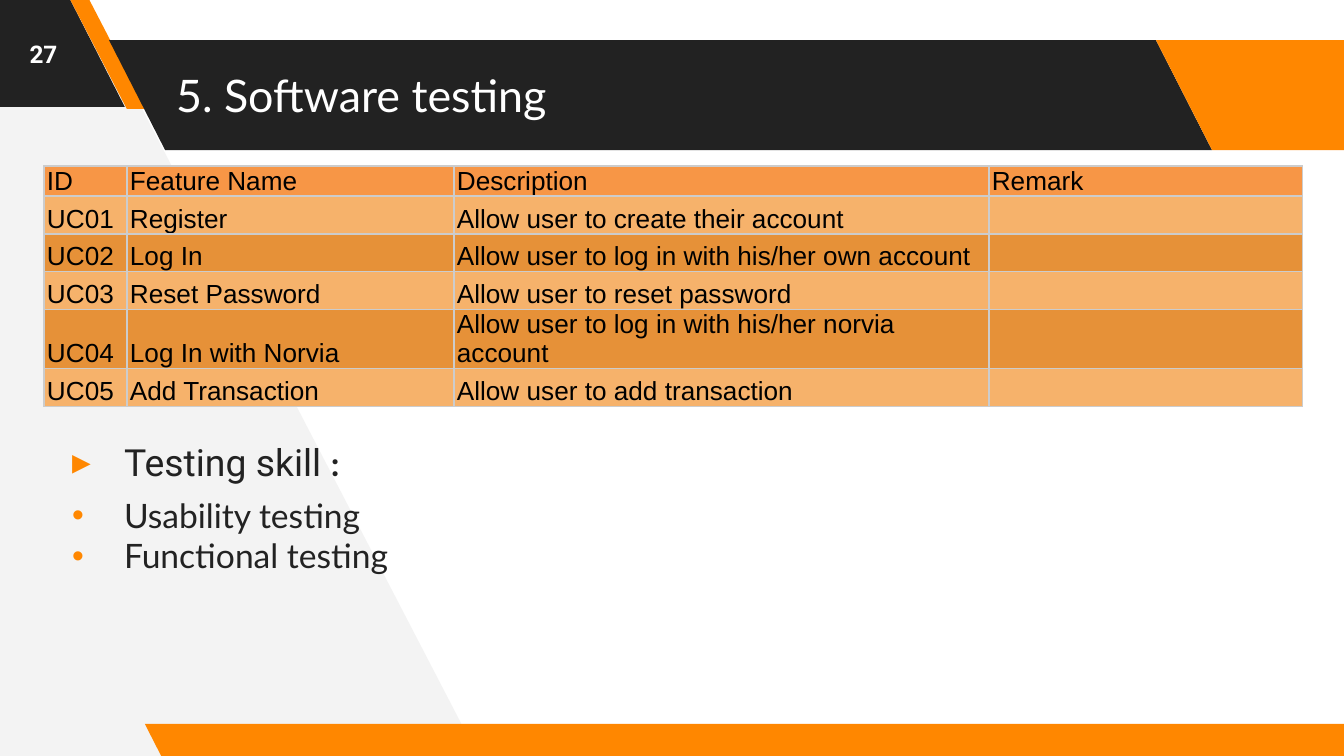
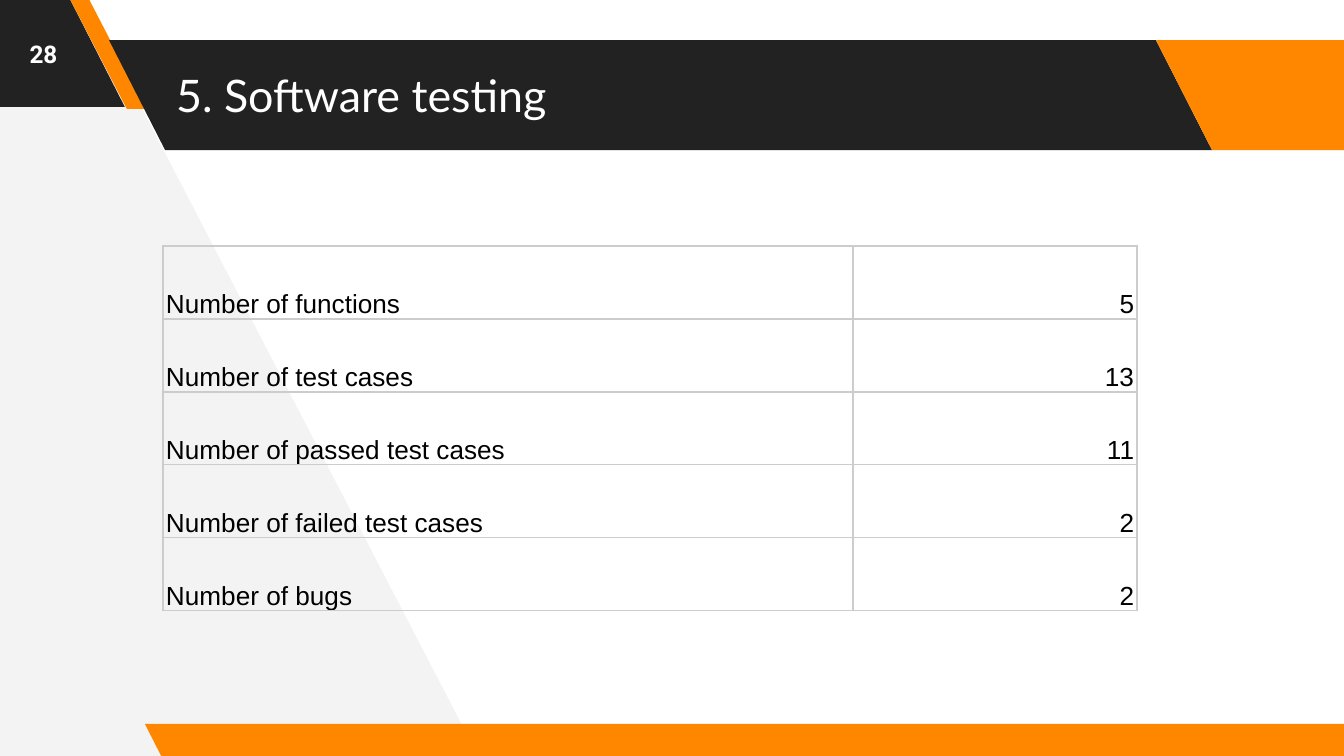
import pptx
import pptx.util
import pptx.dml.color
import pptx.enum.shapes
import pptx.enum.text
import pptx.oxml
import pptx.oxml.ns
import lxml.etree

SCALE = 914400 / 134.4
DARK, ORANGE, PALE, WHITE = "222222", "FF8700", "F3F3F3", "FFFFFF"
BLACK, GRID = "000000", "CCCCCC"
HEAD, LIGHT, DEEP = "F79646", "F6B26B", "E69138"
ALIGN = pptx.enum.text.PP_ALIGN
ANCHOR = pptx.enum.text.MSO_ANCHOR

WEDGE = [(478, 756), (83, -5), (-8, -5), (-3, 761)]
BANDS = [
    (-133, -3, 258, 110, 0.51, DARK),
    (70, -1, 76, 110, 0.75, ORANGE),
    (109, 40, 1103, 110, 0.51, DARK),
    (1156, 40, 258, 110, 0.51, ORANGE),
    (145, 724, 1230, 34, 0.51, ORANGE),
]
CASES = [
    ("ID", "Feature Name", "Description", "Remark"),
    ("UC01", "Register", "Allow user to create their account", ""),
    ("UC02", "Log In", "Allow user to log in with his/her own account", ""),
    ("UC03", "Reset Password", "Allow user to reset password", ""),
    ("UC04", "Log In with Norvia", "Allow user to log in with his/her norvia account", ""),
    ("UC05", "Add Transaction", "Allow user to add transaction", ""),
]
COUNTS = [
    ("Number of functions", "5"),
    ("Number of test cases", "13"),
    ("Number of passed test cases", "11"),
    ("Number of failed test cases", "2"),
    ("Number of bugs", "2"),
]
SKILLS = [
    ("▸", 6, [("Testing skill ", "Roboto", 20, False), (": ", "Lato", 18, True)]),
    ("•", 6, [("Usability testing", "Lato", 18, False)]),
    ("•", 0, [("Functional testing", "Lato", 18, False)]),
]


def px(size):
    """Turn pixels into EMU."""
    return pptx.util.Emu(round(size * SCALE))


def rgb(code):
    """Turn a hex string into a colour."""
    return pptx.dml.color.RGBColor.from_string(code)


def node(root, tag, **attrs):
    """Append a drawing element to a parent."""
    return lxml.etree.SubElement(root, pptx.oxml.ns.qn("a:" + tag), attrs)


def paint(shape, color):
    """Give a shape a flat fill with no line or shadow."""
    shape.shadow.inherit = False
    shape.fill.solid()
    shape.fill.fore_color.rgb = rgb(color)
    shape.line.fill.background()


def place(shape, box):
    """Move a shape to a box in pixels."""
    shape.left, shape.top, shape.width, shape.height = map(px, box)


def frame(shape, anchor):
    """Set wrapping, insets and anchor, and return the text frame."""
    text = shape.text_frame
    text.word_wrap = True
    text.auto_size = pptx.enum.text.MSO_AUTO_SIZE.NONE
    text.vertical_anchor = anchor
    text.margin_left = text.margin_right = px(13)
    text.margin_top = text.margin_bottom = px(13)
    return text


def write(para, text, font, size, color, bold=False):
    """Add one formatted run to a paragraph."""
    run = para.add_run()
    run.text = text
    run.font.name = font
    run.font.size = pptx.util.Pt(size)
    run.font.bold = bold
    run.font.color.rgb = rgb(color)


def dress(slide, layout):
    """Draw the shared wedge and bands and hand them to the layout."""
    for holder in list(layout.placeholders):
        if holder.placeholder_format.idx >= 10:
            layout.shapes.element.remove(holder.element)
    pen = slide.shapes.build_freeform(*WEDGE[0], scale=SCALE)
    pen.add_line_segments(WEDGE[1:], close=True)
    wedge = pen.convert_to_shape()
    paint(wedge, PALE)
    parts = [wedge]
    kind = pptx.enum.shapes.MSO_SHAPE.PARALLELOGRAM
    for *box, slant, color in BANDS:
        band = slide.shapes.add_shape(kind, *map(px, box))
        band.adjustments[0] = slant
        band.element.spPr.xfrm.set("flipH", "1")
        paint(band, color)
        parts.append(band)
    for spot, part in enumerate(parts, 2):
        layout.shapes.element.insert(spot, part.element)


def header(slide, title, page):
    """Fill the title and the page number."""
    place(slide.shapes.title, (163, 40, 988, 110))
    para = frame(slide.shapes.title, ANCHOR.MIDDLE).paragraphs[0]
    para.alignment = ALIGN.LEFT
    write(para, title, "Lato", 24, WHITE)
    label = slide.shapes.add_textbox(*map(px, (0, 0, 87, 108)))
    para = frame(label, ANCHOR.MIDDLE).paragraphs[0]
    para.alignment = ALIGN.CENTER
    write(para, page, "Roboto", 13, WHITE, True)


def bullets(body, box, items):
    """Fill the body with bulleted lines."""
    place(body, box)
    text = frame(body, ANCHOR.TOP)
    for num, (mark, gap, runs) in enumerate(items):
        para = text.add_paragraph() if num else text.paragraphs[0]
        para.alignment = ALIGN.LEFT
        para.line_spacing = 1.0
        para.space_before = pptx.util.Pt(gap)
        para.space_after = pptx.util.Pt(0)
        props = para._p.get_or_add_pPr()
        props.set("marL", str(px(67)))
        props.set("indent", str(px(-52)))
        node(node(props, "buClr"), "srgbClr", val=ORANGE)
        node(props, "buChar", char=mark)
        for part, font, size, bold in runs:
            write(para, part, font, size, DARK, bold)


def border(cell):
    """Rule all four sides of a cell."""
    props = cell._tc.get_or_add_tcPr()
    for side in ("lnL", "lnR", "lnT", "lnB"):
        line = node(props, side, w=str(pptx.util.Pt(0.75)))
        node(node(line, "solidFill"), "srgbClr", val=GRID)


def grid(slide, spot, cols, rows, data, fills=None, right=None):
    """Add a ruled table, with row fills and a right-aligned column if given."""
    size = (sum(cols), sum(rows))
    shape = slide.shapes.add_table(len(rows), len(cols), *map(px, spot + size))
    table = shape.table
    table.first_row = table.horz_banding = False
    for col, width in zip(table.columns, cols):
        col.width = px(width)
    for r, (row, high) in enumerate(zip(table.rows, rows)):
        row.height = px(high)
        for c, cell in enumerate(row.cells):
            border(cell)
            if fills:
                cell.fill.solid()
                cell.fill.fore_color.rgb = rgb(fills[r])
            else:
                cell.fill.background()
            cell.vertical_anchor = ANCHOR.BOTTOM
            cell.margin_left = cell.margin_right = px(3)
            cell.margin_top = cell.margin_bottom = 0
            para = cell.text_frame.paragraphs[0]
            para.alignment = ALIGN.RIGHT if c == right else ALIGN.LEFT
            write(para, data[r][c], "Arial", 14, BLACK)


def main():
    """Build both slides and save them."""
    deck = pptx.Presentation()
    deck.slide_width, deck.slide_height = px(1344), px(756)
    layout = deck.slide_layouts[1]
    title = "5. Software testing"

    cases = deck.slides.add_slide(layout)
    dress(cases, layout)
    header(cases, title, "27")
    bullets(cases.placeholders[1], (44, 426, 1130, 184), SKILLS)
    fills = [HEAD] + [DEEP if num % 2 else LIGHT for num in range(5)]
    grid(cases, (44, 166), (83, 327, 535, 314), (30, 38, 37, 38, 58, 38), CASES, fills)

    counts = deck.slides.add_slide(layout)
    body = counts.placeholders[1]
    counts.shapes.element.remove(body.element)
    header(counts, title, "28")
    grid(counts, (163, 246), (690, 284), (73,) * 5, COUNTS, right=1)

    deck.save("out.pptx")


if __name__ == "__main__":
    main()
